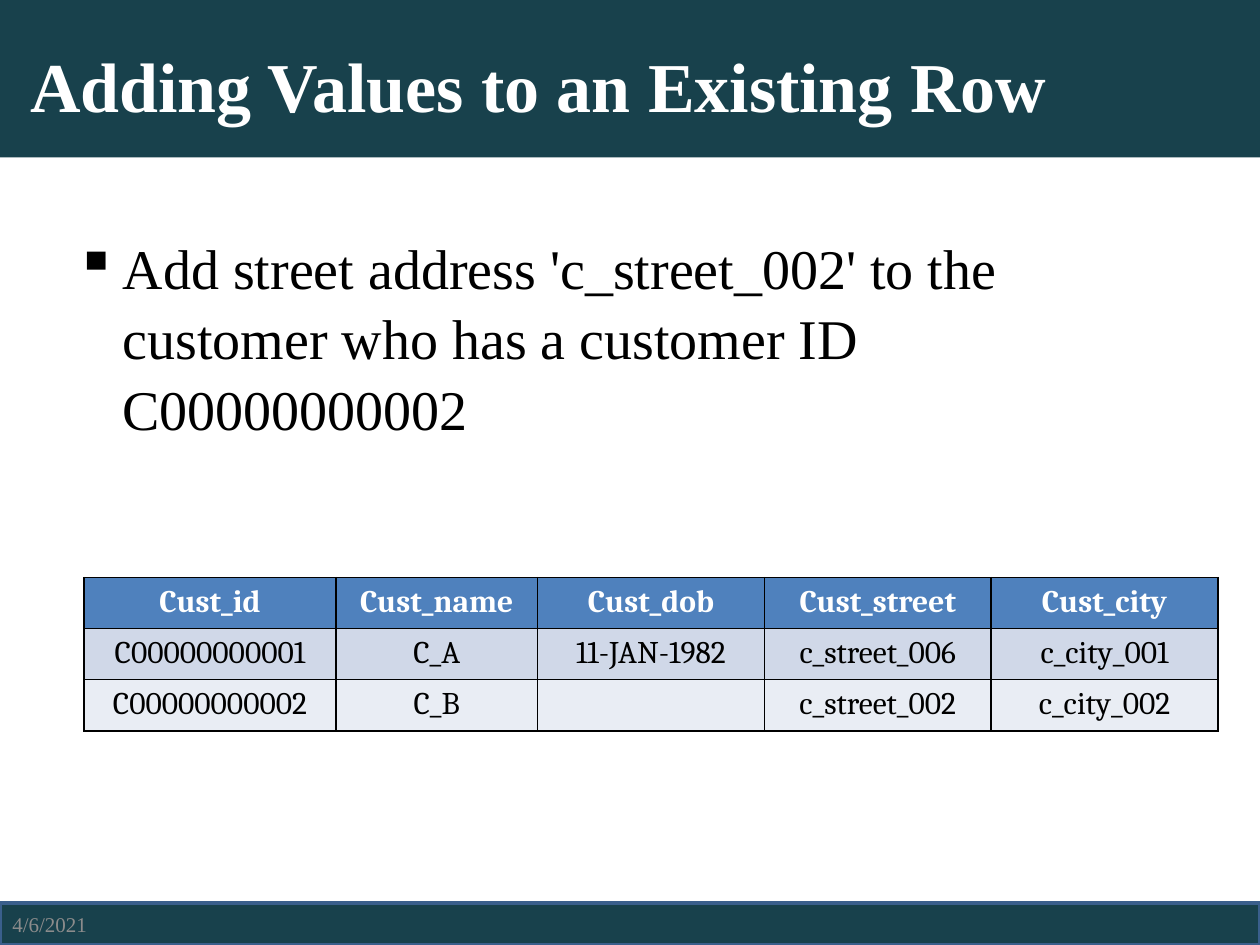
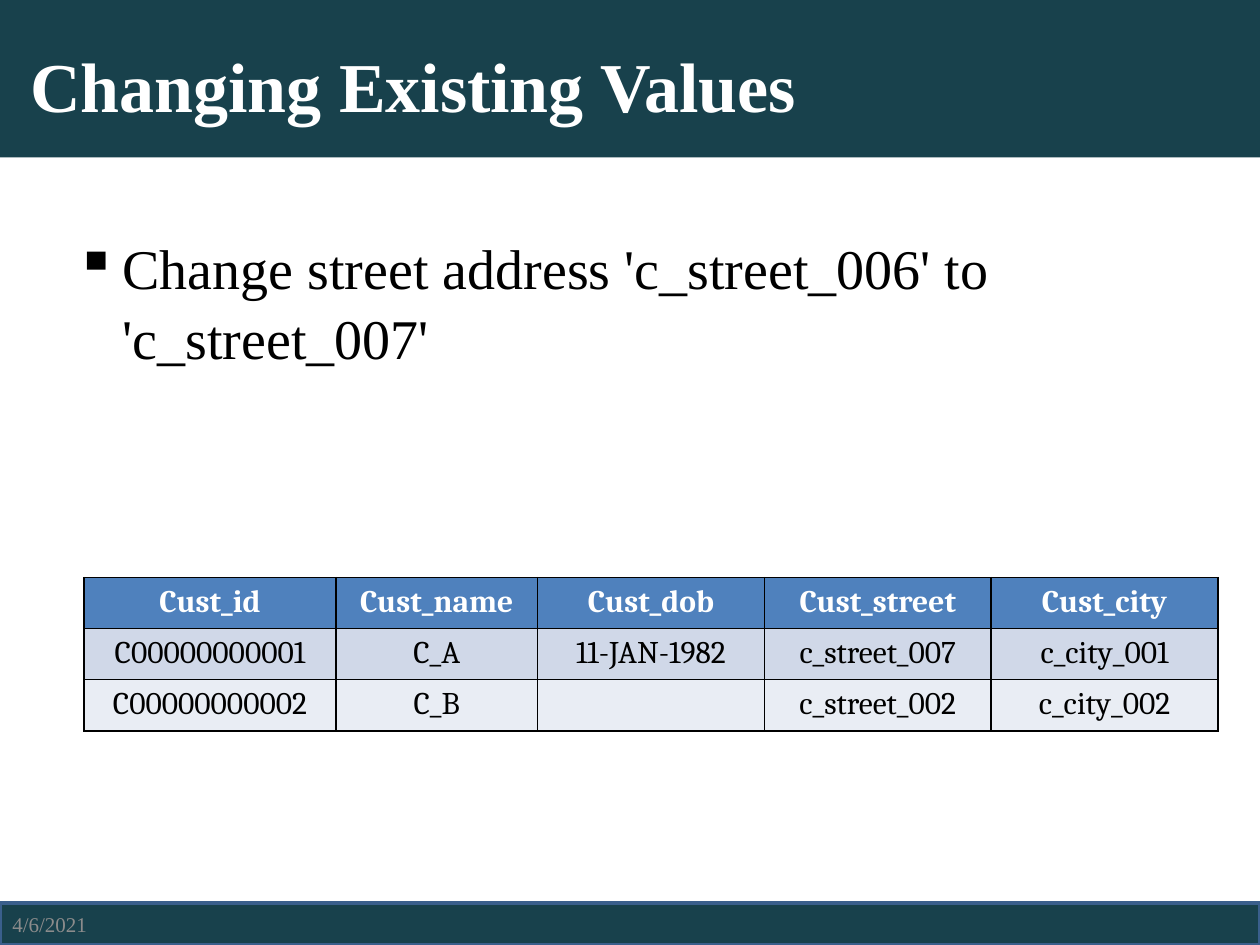
from lxml import etree
from pptx import Presentation
from pptx.dml.color import RGBColor
from pptx.enum.shapes import MSO_SHAPE
from pptx.enum.text import MSO_ANCHOR, MSO_AUTO_SIZE, PP_ALIGN
from pptx.oxml.ns import qn
from pptx.util import Pt

RECT = MSO_SHAPE.RECTANGLE
MIDDLE, TOP = MSO_ANCHOR.MIDDLE, MSO_ANCHOR.TOP
LEFT, CENTER = PP_ALIGN.LEFT, PP_ALIGN.CENTER
NO_FIT = MSO_AUTO_SIZE.NONE

TEAL = RGBColor(0x18, 0x41, 0x4C)
EDGE = RGBColor(0x3A, 0x5F, 0x8C)
WHITE = RGBColor(0xFF, 0xFF, 0xFF)
BLACK = RGBColor(0, 0, 0)
GREY = RGBColor(0x8C, 0x8C, 0x8C)
HEADER = RGBColor(0x4F, 0x81, 0xBD)
BAND_DARK = RGBColor(0xD0, 0xD8, 0xE8)
BAND_LIGHT = RGBColor(0xE9, 0xED, 0xF4)

SERIF = "Times New Roman"
TITLE_FONT = {"name": SERIF, "size": Pt(40), "bold": True}
BODY_FONT = {"name": SERIF, "size": Pt(32), "bold": False}
DATE_FONT = {"name": SERIF, "size": Pt(12), "bold": False}
HEAD_FONT = {"name": "Cambria", "size": Pt(18), "bold": True}
CELL_FONT = {"name": "Cambria", "size": Pt(18), "bold": False}

SLIDE_W, SLIDE_H = 720, 540
FOOTER_H = 24
COLUMNS = [("Cust_id", 144), ("Cust_name", 115.2), ("Cust_dob", 129.6),
           ("Cust_street", 129.6), ("Cust_city", 129.6)]
ROW_H = 29.2
FILLS = [HEADER, BAND_DARK, BAND_LIGHT]

SLIDES = [
    ("Adding Values to an Existing Row",
     "Add street address 'c_street_002' to the customer who has a customer ID C00000000002",
     "c_street_006"),
    ("Changing Existing Values",
     "Change street address 'c_street_006' to 'c_street_007'",
     "c_street_007"),
]


def write(tf, text, font, color, align=LEFT):
    p = tf.paragraphs[0]
    p.alignment = align
    r = p.add_run()
    r.text = text
    for name, value in font.items():
        setattr(r.font, name, value)
    r.font.color.rgb = color
    return p


def add_borders(cell):
    tc_pr = cell._tc.get_or_add_tcPr()
    for i, side in enumerate(("lnL", "lnR", "lnT", "lnB")):
        ln = etree.Element(qn("a:" + side), w=str(Pt(1)))
        fill = etree.SubElement(ln, qn("a:solidFill"))
        etree.SubElement(fill, qn("a:srgbClr"), val=str(BLACK))
        tc_pr.insert(i, ln)


prs = Presentation()
prs.slide_width, prs.slide_height = Pt(SLIDE_W), Pt(SLIDE_H)

for title_text, task, first_street in SLIDES:
    s = prs.slides.add_slide(prs.slide_layouts[5])

    footer = s.shapes.add_shape(RECT, 0, Pt(SLIDE_H - FOOTER_H), Pt(SLIDE_W), Pt(FOOTER_H))
    footer.shadow.inherit = False
    footer.fill.solid()
    footer.fill.fore_color.rgb = TEAL
    footer.line.color.rgb = EDGE
    footer.line.width = Pt(2)

    title = s.shapes.title
    title.left, title.top, title.width, title.height = 0, 0, Pt(SLIDE_W), Pt(90)
    title.fill.solid()
    title.fill.fore_color.rgb = TEAL
    tf = title.text_frame
    tf.auto_size = NO_FIT
    tf.vertical_anchor = MIDDLE
    tf.margin_left, tf.margin_top = Pt(17.2), Pt(9.6)
    write(tf, title_text, TITLE_FONT, WHITE)

    body = s.shapes.add_textbox(Pt(36), Pt(126), Pt(648), Pt(356.4))
    tf = body.text_frame
    tf.word_wrap = True
    tf.vertical_anchor = TOP
    tf.margin_top = Pt(5.4)
    p = write(tf, task, BODY_FONT, BLACK)
    p.line_spacing = 1.05
    p_pr = p._p.get_or_add_pPr()
    p_pr.set("marL", str(Pt(27)))
    p_pr.set("indent", str(Pt(-27)))
    etree.SubElement(p_pr, qn("a:buChar"), char="▪")

    date = s.shapes.add_textbox(0, Pt(SLIDE_H - FOOTER_H), Pt(168), Pt(FOOTER_H))
    date.text_frame.word_wrap = True
    date.text_frame.vertical_anchor = MIDDLE
    write(date.text_frame, "4/6/2021", DATE_FONT, GREY)

    rows = [
        [name for name, width in COLUMNS],
        ["C00000000001", "C_A", "11-JAN-1982", first_street, "c_city_001"],
        ["C00000000002", "C_B", "", "c_street_002", "c_city_002"],
    ]
    table = s.shapes.add_table(len(rows), len(COLUMNS), Pt(48), Pt(330),
                               Pt(648), Pt(ROW_H * len(rows))).table
    for column, (name, width) in zip(table.columns, COLUMNS):
        column.width = Pt(width)
    for i, (values, fill) in enumerate(zip(rows, FILLS)):
        table.rows[i].height = Pt(ROW_H)
        font, color = (CELL_FONT, BLACK) if i else (HEAD_FONT, WHITE)
        for j, value in enumerate(values):
            cell = table.cell(i, j)
            cell.fill.solid()
            cell.fill.fore_color.rgb = fill
            add_borders(cell)
            if value:
                write(cell.text_frame, value, font, color, CENTER)

prs.save("out.pptx")
